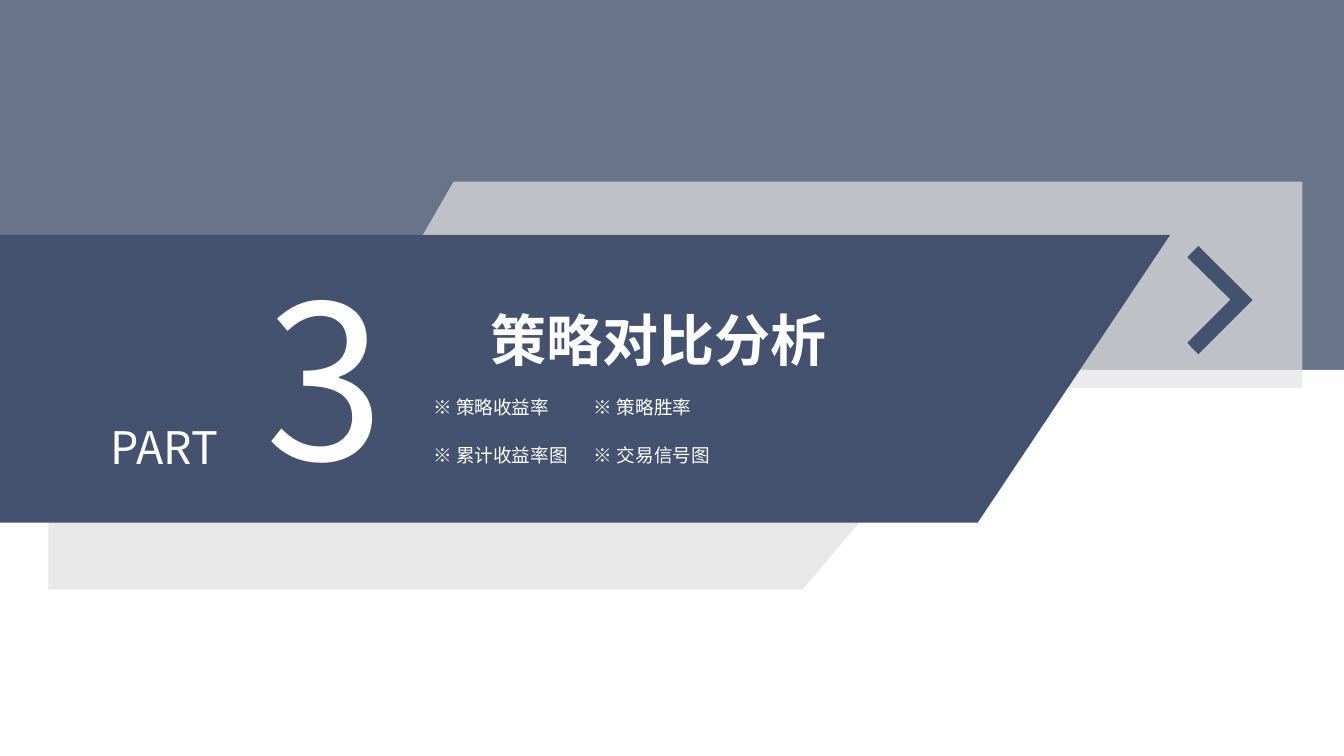
"""Build the section slide for part 3, the strategy comparison."""
from lxml import etree
from pptx import Presentation
from pptx import util as u
from pptx.dml.color import RGBColor
from pptx.enum import shapes, text
from pptx.oxml import ns

THEME = {
    "font": "Noto Sans CJK SC",
    "navy": "44526F", "panel": "E3E3E3", "shade": "E8E8E8", "white": "FFFFFF",
    "part": 32, "number": 153.3, "title": 40, "topic": 13.3,
}
PAGE = (33.87, 19.05)
BAND_HEIGHT = 9.32
BANDS = [("navy", 80), ("white", 100)]
OUTLINES = [
    ("panel", 70, [(11.43, 4.58), (32.82, 4.58), (32.82, 9.78), (8.43, 9.78)]),
    ("shade", 100, [(1.22, 9.65), (24.64, 9.65), (20.22, 14.86), (1.22, 14.86)]),
    ("navy", 100, [(0, 5.92), (29.49, 5.92), (24.64, 13.17), (0, 13.17)]),
    ("navy", 100, [(30.2, 6.2), (31.57, 7.56), (30.2, 8.93),
                   (29.92, 8.64), (31.01, 7.55), (29.92, 6.48)]),
]
HEADINGS = [
    ("PART", "part", (2.21, 10.44, 3.86, 1.63), text.PP_ALIGN.CENTER, False),
    ("3", "number", (5.1, 6.07, 6.2, 6.81), text.PP_ALIGN.CENTER, False),
    ("策略对比分析", "title", (12.12, 7.57, 10.85, 1.96), text.PP_ALIGN.JUSTIFY, True),
]
TOPICS = [["※ 策略收益率", "※ 策略胜率"], ["※ 累计收益率图", "※ 交易信号图"]]
TOPIC_ORIGIN = (10.69, 9.88)
TOPIC_PITCH = (4.05, 1.2)
TOPIC_SIZE = (4.05, 0.79)
HEADING_INSET = (0.25, 0.13)
TOPIC_INSET = (0.23, 0.1)


def paint(shape, color, opacity):
    shape.shadow.inherit = False
    shape.line.fill.background()
    shape.fill.solid()
    shape.fill.fore_color.rgb = RGBColor.from_string(THEME[color])
    if opacity < 100:
        tint = shape.element.spPr.find(".//" + ns.qn("a:srgbClr"))
        etree.SubElement(tint, ns.qn("a:alpha"), val=str(opacity * 1000))


def add_outline(page, color, opacity, points):
    corners = [(u.Cm(x), u.Cm(y)) for x, y in points]
    builder = page.shapes.build_freeform(*corners[0])
    builder.add_line_segments(corners[1:], close=True)
    paint(builder.convert_to_shape(), color, opacity)


def add_text(page, words, size, place, align, bold, inset):
    box = page.shapes.add_textbox(*map(u.Cm, place))
    frame = box.text_frame
    frame.word_wrap = True
    frame.auto_size = text.MSO_AUTO_SIZE.NONE
    frame.margin_left = frame.margin_right = u.Cm(inset[0])
    frame.margin_top = frame.margin_bottom = u.Cm(inset[1])
    para = frame.paragraphs[0]
    para.alignment = align
    span = para.add_run()
    span.text = words
    span.font.size = u.Pt(THEME[size])
    span.font.bold = bold
    span.font.name = THEME["font"]
    span.font.color.rgb = RGBColor.from_string(THEME["white"])
    latin = span.font._element.find(ns.qn("a:latin"))
    latin.addnext(etree.Element(ns.qn("a:ea"), typeface=THEME["font"]))


def main():
    deck = Presentation()
    deck.slide_width, deck.slide_height = map(u.Cm, PAGE)
    page = deck.slides.add_slide(deck.slide_layouts[6])
    for index, (color, opacity) in enumerate(BANDS):
        place = (0, index * BAND_HEIGHT, PAGE[0], BAND_HEIGHT)
        band = page.shapes.add_shape(shapes.MSO_SHAPE.RECTANGLE, *map(u.Cm, place))
        paint(band, color, opacity)
    for outline in OUTLINES:
        add_outline(page, *outline)
    for heading in HEADINGS:
        add_text(page, *heading, HEADING_INSET)
    for row, topics in enumerate(TOPICS):
        for column, topic in enumerate(topics):
            left = TOPIC_ORIGIN[0] + column * TOPIC_PITCH[0]
            top = TOPIC_ORIGIN[1] + row * TOPIC_PITCH[1]
            add_text(page, topic, "topic", (left, top, *TOPIC_SIZE),
                     text.PP_ALIGN.LEFT, False, TOPIC_INSET)
    deck.save("out.pptx")


if __name__ == "__main__":
    main()
